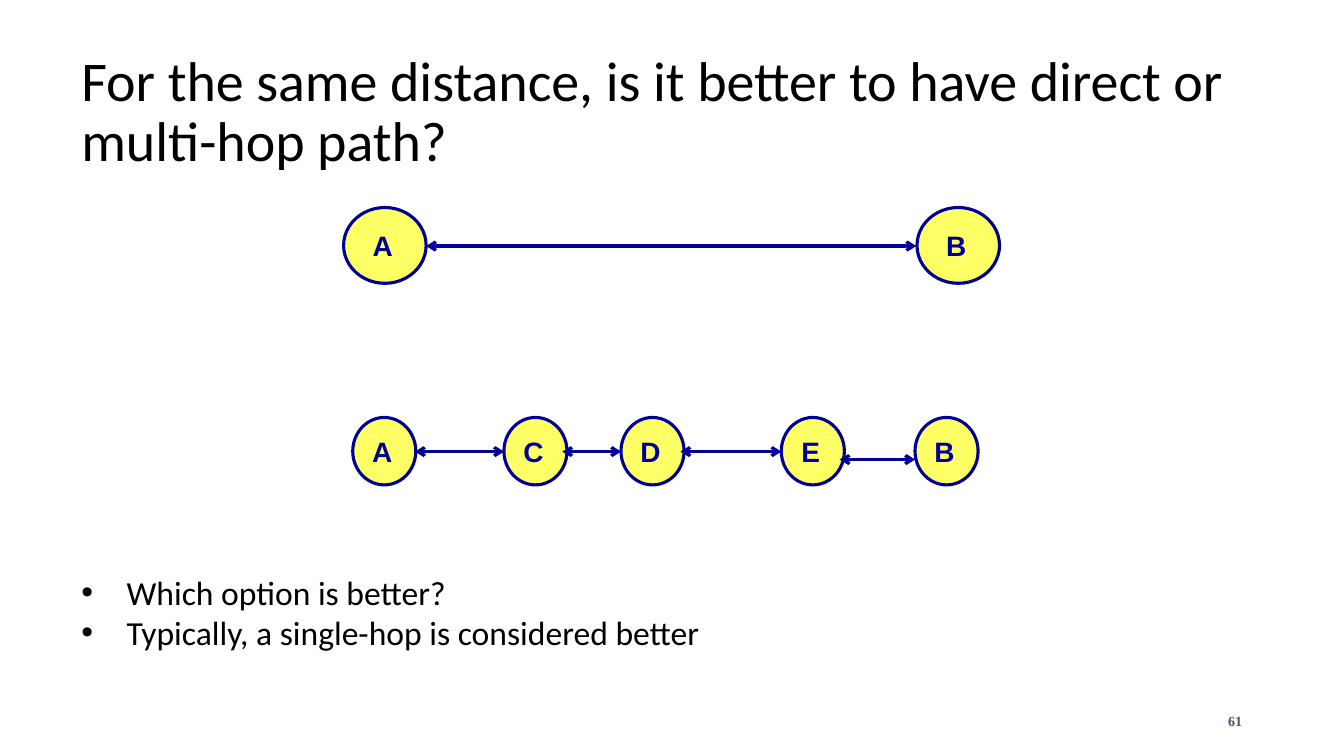
from lxml import etree
from pptx import Presentation
from pptx.dml.color import RGBColor
from pptx.enum.shapes import MSO_CONNECTOR as CONN, MSO_SHAPE as SHAPE
from pptx.enum.text import MSO_ANCHOR as ANCHOR, PP_ALIGN as ALIGN
from pptx.oxml.ns import qn
from pptx.util import Cm, Pt

NAVY = RGBColor(0x00, 0x00, 0x99)
YELLOW = RGBColor(0xFF, 0xFF, 0x66)
BLACK = RGBColor(0x00, 0x00, 0x00)
SLATE = RGBColor(0x44, 0x54, 0x6A)

# Each node is (label, left); each link is (start, end, y), all in cm
DIRECT_NODES = [("A", 8.66), ("B", 23.11)]
HOP_NODES = [("A", 8.89), ("C", 12.7), ("D", 15.65), ("E", 19.69), ("B", 23.06)]
LINKS = [(10.74, 23.09, 6.2), (10.46, 12.7, 11.38), (14.17, 15.65, 11.38),
         (17.15, 19.69, 11.38), (21.16, 23.06, 11.58)]


def add_run(p, text, font, size, color, bold=False):
    r = p.add_run()
    r.text = text
    r.font.name = font
    r.font.size = Pt(size)
    r.font.bold = bold
    r.font.color.rgb = color


def add_text_frame(slide, left, top, width, height, anchor=ANCHOR.MIDDLE):
    tf = slide.shapes.add_textbox(Cm(left), Cm(top), Cm(width), Cm(height)).text_frame
    tf.word_wrap = True
    tf.vertical_anchor = anchor
    return tf


def add_node(slide, label, left, top, width, height):
    sp = slide.shapes.add_shape(SHAPE.OVAL, Cm(left), Cm(top), Cm(width), Cm(height))
    sp.shadow.inherit = False
    sp.fill.solid()
    sp.fill.fore_color.rgb = YELLOW
    sp.line.color.rgb = NAVY
    sp.line.width = Pt(2.25)
    tf = sp.text_frame
    tf.word_wrap = False
    tf.vertical_anchor = ANCHOR.MIDDLE
    tf.margin_left = tf.margin_top = tf.margin_bottom = 0
    tf.margin_right = Cm(0.1)
    p = tf.paragraphs[0]
    p.alignment = ALIGN.CENTER
    add_run(p, label, "Arial", 20, NAVY, bold=True)


def add_link(slide, start, end, y):
    """Draw a horizontal line with an open arrowhead at both ends."""
    link = slide.shapes.add_connector(CONN.STRAIGHT, Cm(start), Cm(y), Cm(end), Cm(y))
    link.line.color.rgb = NAVY
    link.line.width = Pt(2.25)
    ln = link.line._get_or_add_ln()
    for tag in ("a:headEnd", "a:tailEnd"):
        etree.SubElement(ln, qn(tag), type="arrow")
    etree.SubElement(link._element.spPr, qn("a:effectLst"))


def add_bullets(tf, items, indent):
    for i, item in enumerate(items):
        p = tf.add_paragraph() if i else tf.paragraphs[0]
        pPr = p._p.get_or_add_pPr()
        pPr.set("marL", str(indent))
        pPr.set("indent", str(-indent))
        etree.SubElement(pPr, qn("a:buFont"), typeface="Arial")
        etree.SubElement(pPr, qn("a:buChar"), char="•")
        add_run(p, item, "Calibri", 24, BLACK)


def main():
    prs = Presentation()
    prs.slide_width, prs.slide_height = Cm(33.87), Cm(19.05)
    slide = prs.slides.add_slide(prs.slide_layouts[6])

    p = add_text_frame(slide, 1.8, 0.8, 30.4, 4.11).paragraphs[0]
    p.line_spacing = 0.9
    add_run(p, "For the same distance, is it better to have direct or multi-hop path?",
            "Calibri", 40, BLACK)

    for label, left in DIRECT_NODES:
        add_node(slide, label, left, 5.23, 2.08, 1.91)
    for label, left in HOP_NODES:
        add_node(slide, label, left, 10.52, 1.59, 1.7)
    for link in LINKS:
        add_link(slide, *link)

    tf = add_text_frame(slide, 1.8, 14.28, 26.82, 2.31, ANCHOR.TOP)
    add_bullets(tf, ["Which option is better?",
                     "Typically, a single-hop is considered better"], Cm(1.14))

    p = add_text_frame(slide, 23.93, 17.65, 7.62, 1.02).paragraphs[0]
    p.alignment = ALIGN.RIGHT
    add_run(p, "61", "Times New Roman", 10, SLATE, bold=True)

    prs.save("out.pptx")


if __name__ == "__main__":
    main()
